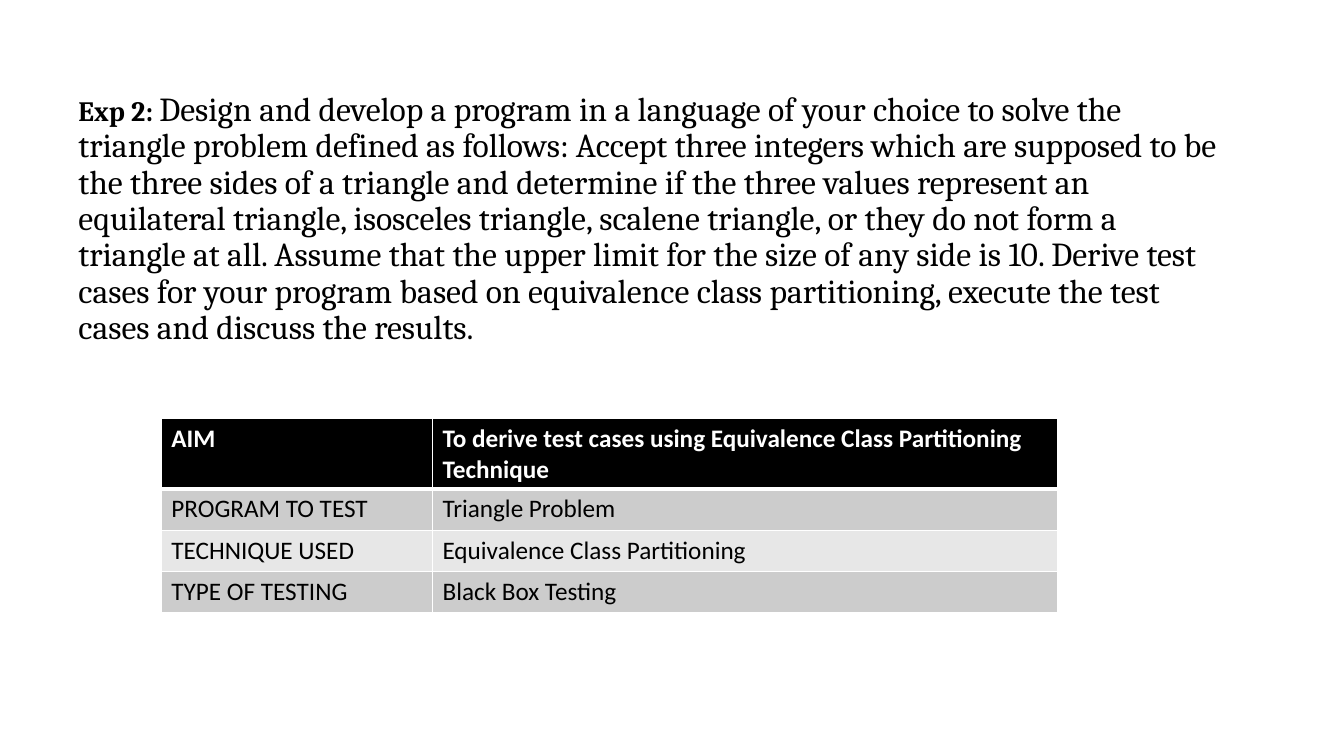
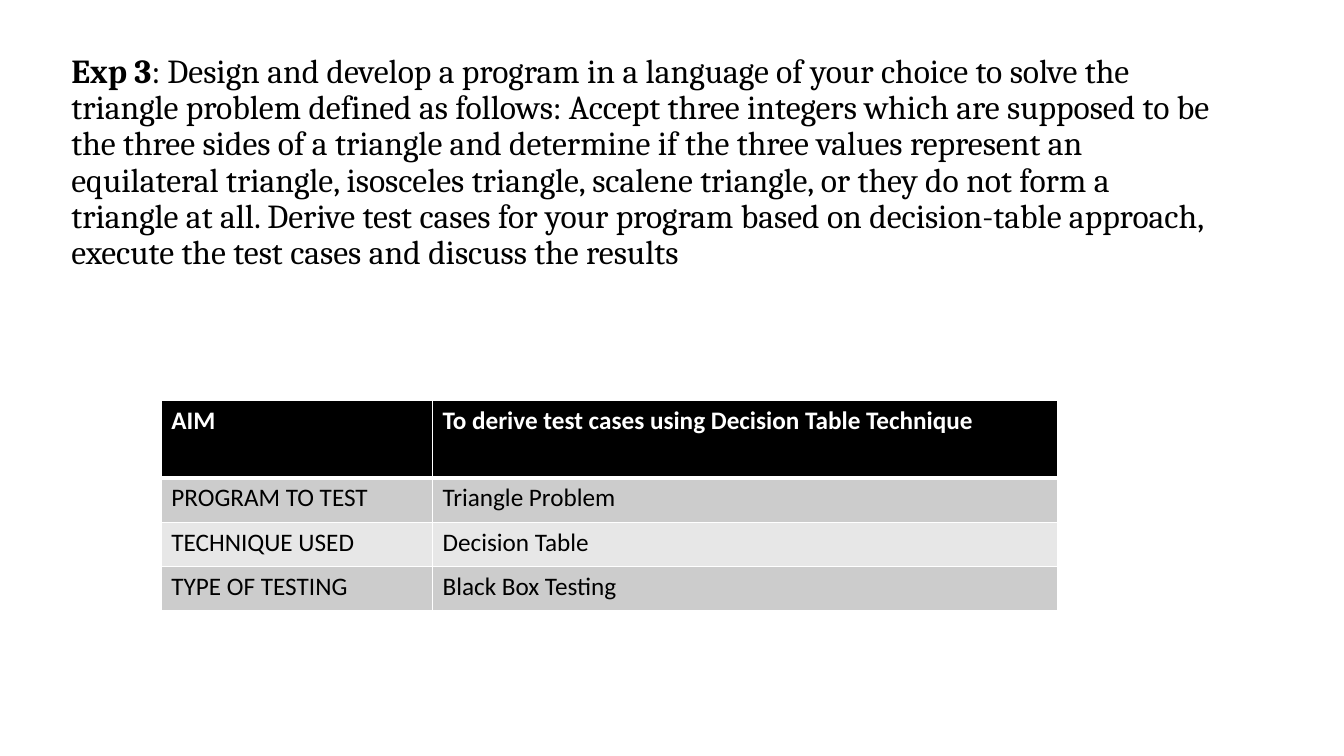
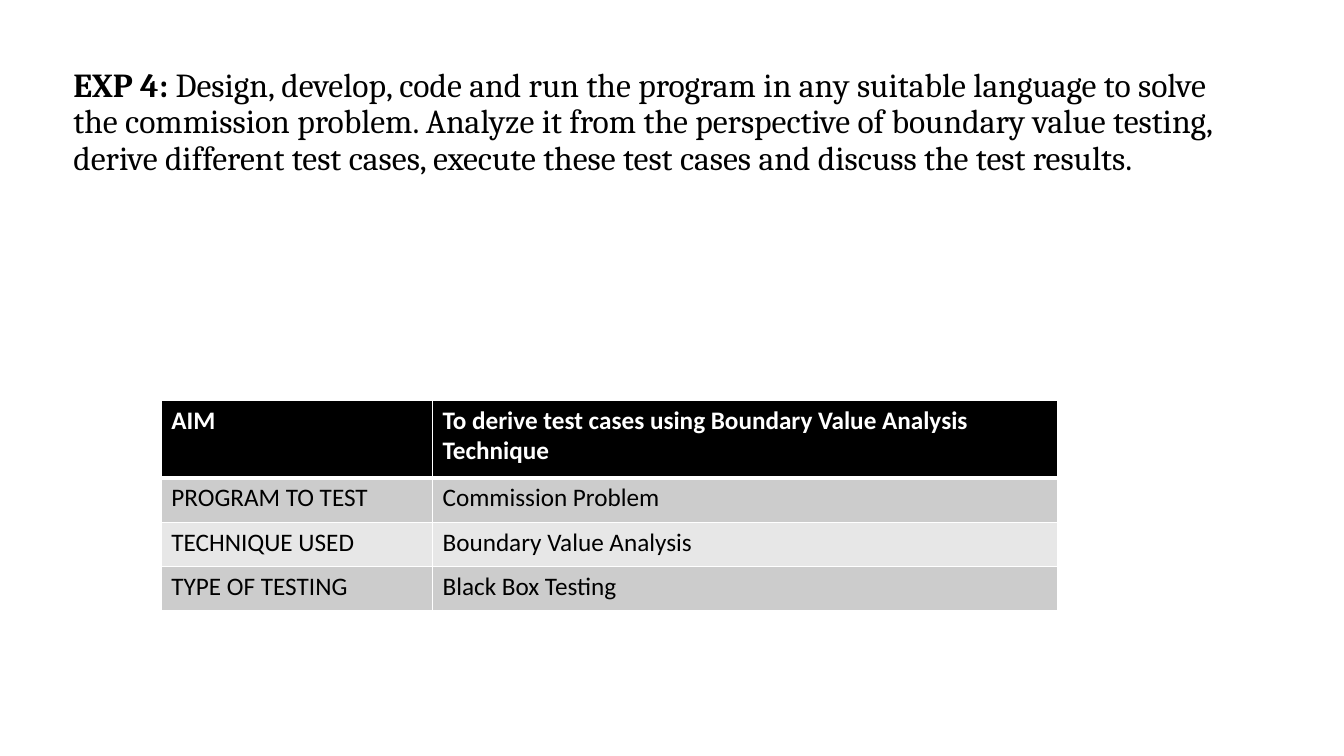
from pptx import Presentation
from pptx.dml.color import RGBColor
from pptx.oxml import parse_xml
from pptx.oxml.ns import nsdecls
from pptx.util import Inches, Pt

COLORS = {
    "text": "000000",
    "header": "000000",
    "header_text": "FFFFFF",
    "border": "FFFFFF",
    "odd_row": "CCCCCC",
    "even_row": "E7E7E7",
}
TASK_FONT = "Cambria"
TABLE_FONT = "Calibri"
TASK_SIZE = 24
TASK_WIDTH, TASK_HEIGHT = 11.5, 4.76
TABLE_LEFT = 1.6
COLUMN_WIDTHS = (2.69, 6.2)
ROW_LABELS = ("AIM", "PROGRAM TO TEST", "TECHNIQUE USED", "TYPE OF TESTING")
TRIANGLE_TASK = (
    "Design and develop a program in a language of your choice to solve the "
    "triangle problem defined as follows: Accept three integers which are "
    "supposed to be the three sides of a triangle and determine if the three "
    "values represent an equilateral triangle, isosceles triangle, scalene "
    "triangle, or they do not form a triangle at all. "
)

EXPERIMENTS = [
    {
        "label": "Exp 2: ",
        "label_size": 20,
        "task": TRIANGLE_TASK
        + "Assume that the upper limit for the size of any side is 10. Derive "
        "test cases for your program based on equivalence class partitioning, "
        "execute the test cases and discuss the results.",
        "task_at": (0.68, 0.87),
        "table_top": 4.15,
        "row_heights": (0.7, 0.41, 0.41, 0.41),
        "program": "Triangle Problem",
        "technique": "Equivalence Class Partitioning",
    },
    {
        "label": "Exp 3",
        "label_size": TASK_SIZE,
        "task": ": " + TRIANGLE_TASK
        + "Derive test cases for your program based on decision-table "
        "approach, execute the test cases and discuss the results",
        "task_at": (0.61, 0.49),
        "table_top": 3.97,
        "row_heights": (0.77, 0.44, 0.44, 0.44),
        "program": "Triangle Problem",
        "technique": "Decision Table",
    },
    {
        "label": "EXP 4: ",
        "label_size": TASK_SIZE,
        "task": "Design, develop, code and run the program in any suitable "
        "language to solve the commission problem. Analyze it from the "
        "perspective of boundary value testing, derive different test cases, "
        "execute these test cases and discuss the test results.",
        "task_at": (0.63, 0.63),
        "table_top": 3.97,
        "row_heights": (0.77, 0.44, 0.44, 0.44),
        "program": "Commission Problem",
        "technique": "Boundary Value Analysis",
    },
]


def color(name):
    return RGBColor.from_string(COLORS[name])


def add_task(slide, left, top, label, label_size, task):
    box = slide.shapes.add_textbox(
        Inches(left), Inches(top), Inches(TASK_WIDTH), Inches(TASK_HEIGHT)
    )
    box.text_frame.word_wrap = True
    paragraph = box.text_frame.paragraphs[0]
    paragraph.line_spacing = 0.9
    paragraph.font.name = TASK_FONT
    paragraph.font.color.rgb = color("text")
    for text, size, bold in ((label, label_size, True), (task, TASK_SIZE, False)):
        run = paragraph.add_run()
        run.text = text
        run.font.size = Pt(size)
        run.font.bold = bold


def set_borders(cell, row_index):
    widths = {
        "L": 1,
        "R": 1,
        "T": 3 if row_index == 1 else 1,
        "B": 3 if row_index == 0 else 1,
    }
    properties = cell._tc.get_or_add_tcPr()
    for side, width in widths.items():
        properties.append(parse_xml(
            f'<a:ln{side} {nsdecls("a")} w="{Pt(width)}"><a:solidFill>'
            f'<a:srgbClr val="{COLORS["border"]}"/></a:solidFill></a:ln{side}>'
        ))


def fill_cell(cell, text, row_index):
    is_header = row_index == 0
    fill_name = "header" if is_header else ("even_row", "odd_row")[row_index % 2]
    set_borders(cell, row_index)
    cell.fill.solid()
    cell.fill.fore_color.rgb = color(fill_name)
    cell.text = text
    font = cell.text_frame.paragraphs[0].font
    font.name = TABLE_FONT
    font.size = Pt(18)
    font.bold = is_header
    font.color.rgb = color("header_text" if is_header else "text")


def add_summary_table(slide, left, top, row_heights, values):
    table = slide.shapes.add_table(
        len(ROW_LABELS), len(COLUMN_WIDTHS), Inches(left), Inches(top),
        Inches(sum(COLUMN_WIDTHS)), Inches(sum(row_heights)),
    ).table
    for column, width in zip(table.columns, COLUMN_WIDTHS):
        column.width = Inches(width)
    for row_index, row_texts in enumerate(zip(ROW_LABELS, values)):
        table.rows[row_index].height = Inches(row_heights[row_index])
        for column_index, text in enumerate(row_texts):
            fill_cell(table.cell(row_index, column_index), text, row_index)


def add_experiment_slide(presentation, experiment):
    slide = presentation.slides.add_slide(presentation.slide_layouts[6])
    add_task(
        slide, *experiment["task_at"], experiment["label"],
        experiment["label_size"], experiment["task"],
    )
    technique = experiment["technique"]
    values = (
        f"To derive test cases using {technique} Technique",
        experiment["program"],
        technique,
        "Black Box Testing",
    )
    add_summary_table(
        slide, TABLE_LEFT, experiment["table_top"], experiment["row_heights"], values
    )


def main():
    presentation = Presentation()
    presentation.slide_width = Inches(13.33)
    presentation.slide_height = Inches(7.5)
    for experiment in EXPERIMENTS:
        add_experiment_slide(presentation, experiment)
    presentation.save("out.pptx")


if __name__ == "__main__":
    main()
